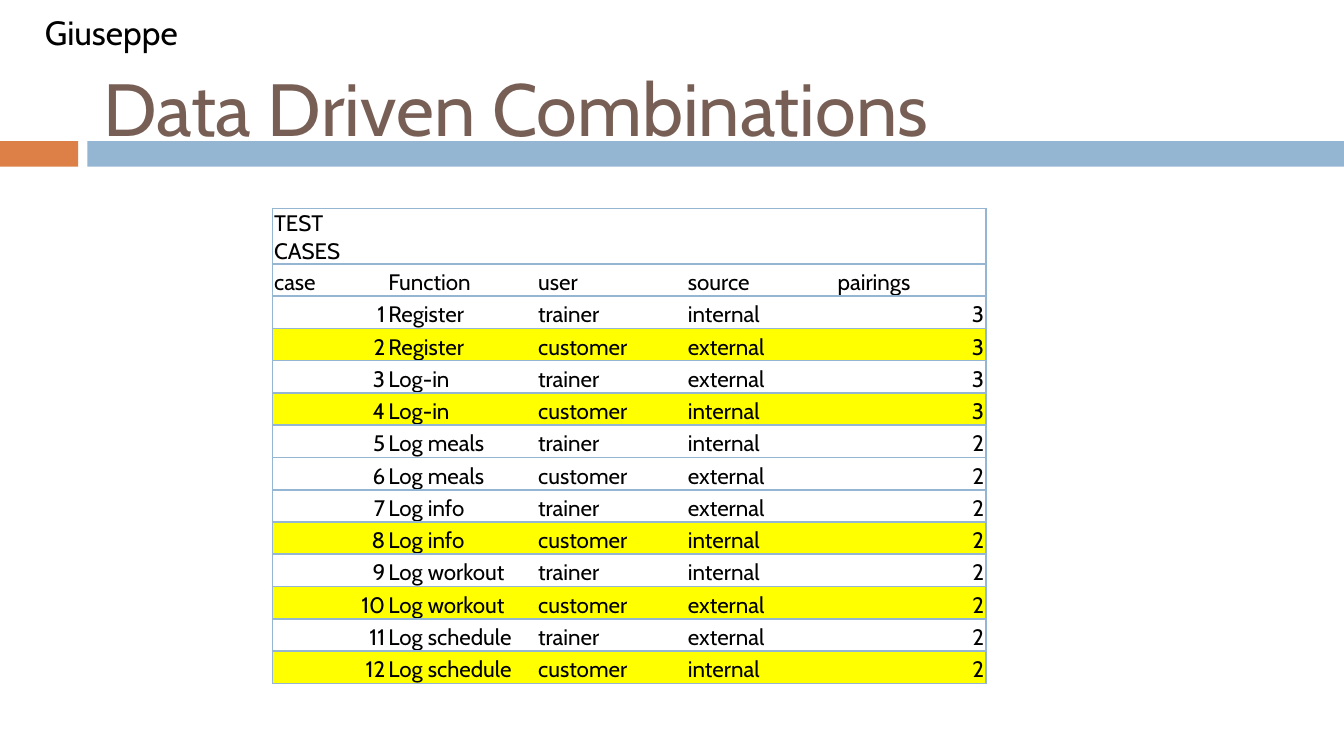
import itertools

import pptx
import pptx.dml.color
import pptx.enum.shapes
import pptx.enum.text
import pptx.oxml
import pptx.oxml.ns
import pptx.util

Cm = pptx.util.Cm
Pt = pptx.util.Pt
ALIGN = pptx.enum.text.PP_ALIGN
ANCHOR = pptx.enum.text.MSO_ANCHOR


def color(value):
    return pptx.dml.color.RGBColor.from_string(value)


def apply_format(target, values):
    for name, value in values.items():
        setattr(target, name, value)


class SlideBuilder:
    font = "Cabin"
    blue = "94B6D2"
    orange = "DD8047"
    brown = "775F55"
    black = "000000"
    white = "FFFFFF"
    yellow = "FFFF00"
    cell_format = {
        "margin_left": Cm(0.03),
        "margin_right": Cm(0.03),
        "margin_top": Cm(0.03),
        "margin_bottom": Cm(0),
        "vertical_anchor": ANCHOR.BOTTOM,
    }

    def __init__(self, slide):
        self.slide = slide

    def add_words(self, paragraph, text, size, ink, align=ALIGN.LEFT):
        paragraph.alignment = align
        run = paragraph.add_run()
        run.text = text
        apply_format(run.font, {"name": self.font, "size": Pt(size)})
        run.font.color.rgb = color(ink)

    def bar(self, left, top, width, height, fill):
        shape = self.slide.shapes.add_shape(
            pptx.enum.shapes.MSO_SHAPE.RECTANGLE,
            Cm(left), Cm(top), Cm(width), Cm(height))
        shape.shadow.inherit = False
        shape.fill.solid()
        shape.fill.fore_color.rgb = color(fill)
        shape.line.fill.background()

    def text(self, left, top, width, height, text, size, ink, anchor=ANCHOR.TOP):
        shape = self.slide.shapes.add_textbox(Cm(left), Cm(top), Cm(width), Cm(height))
        frame = shape.text_frame
        apply_format(frame, {"word_wrap": True, "vertical_anchor": anchor})
        self.add_words(frame.paragraphs[0], text, size, ink)

    def borders(self, cell, visible):
        properties = cell._tc.get_or_add_tcPr()
        namespace = pptx.oxml.ns.nsdecls("a")
        for side in "LRTB":
            paint = "<a:noFill/>"
            if side in visible:
                paint = f'<a:solidFill><a:srgbClr val="{self.blue}"/></a:solidFill>'
            properties.append(pptx.oxml.parse_xml(
                f'<a:ln{side} {namespace} w="{Pt(1)}">{paint}</a:ln{side}>'))

    def table(self, left, top, widths, row_height, rows, highlighted):
        frame = self.slide.shapes.add_table(
            len(rows), len(widths), Cm(left), Cm(top),
            Cm(sum(widths)), Cm(row_height * len(rows)))
        table = frame.table
        apply_format(table, {"first_row": False, "horz_banding": False})
        for column, width in zip(table.columns, widths):
            column.width = Cm(width)
        last = len(widths) - 1
        for row, values in zip(table.rows, rows):
            row.height = Cm(row_height)
            fill = self.yellow if values[0] in highlighted else self.white
            for index, (cell, value) in enumerate(zip(row.cells, values)):
                apply_format(cell, self.cell_format)
                self.borders(cell, "TB" + {0: "L", last: "R"}.get(index, ""))
                cell.fill.solid()
                cell.fill.fore_color.rgb = color(fill)
                if value:
                    align = ALIGN.RIGHT if value.isdigit() else ALIGN.LEFT
                    self.add_words(cell.text_frame.paragraphs[0], value, 12, self.black, align)


def test_cases():
    functions = ["Register", "Log-in", "Log meals", "Log info", "Log workout", "Log schedule"]
    pairs = itertools.product(functions, ["trainer", "customer"])
    sources = itertools.cycle(["internal", "external", "external", "internal"])
    rows = [["TEST CASES", "", "", "", ""],
            ["case", "Function", "user", "source", "pairings"]]
    for number, ((function, user), source) in enumerate(zip(pairs, sources), 1):
        rows.append([str(number), function, user, source, "3" if number <= 4 else "2"])
    return rows


def main():
    presentation = pptx.Presentation()
    apply_format(presentation, {"slide_width": Cm(25.4), "slide_height": Cm(14.29)})
    builder = SlideBuilder(presentation.slides.add_slide(presentation.slide_layouts[6]))
    builder.bar(1.65, 2.67, 23.75, 0.48, builder.blue)
    builder.bar(0, 2.67, 1.48, 0.48, builder.orange)
    builder.text(1.7, 0.99, 22.66, 2.06, "Data Driven Combinations", 39.6,
                 builder.brown, ANCHOR.MIDDLE)
    builder.table(5.15, 3.94, [2.16] + [2.83] * 4, 0.61, test_cases(),
                  {"2", "4", "8", "10", "12"})
    builder.text(0.6, 0.1, 3.05, 1.02, "Giuseppe", 18, builder.black)
    presentation.save("out.pptx")


if __name__ == "__main__":
    main()
